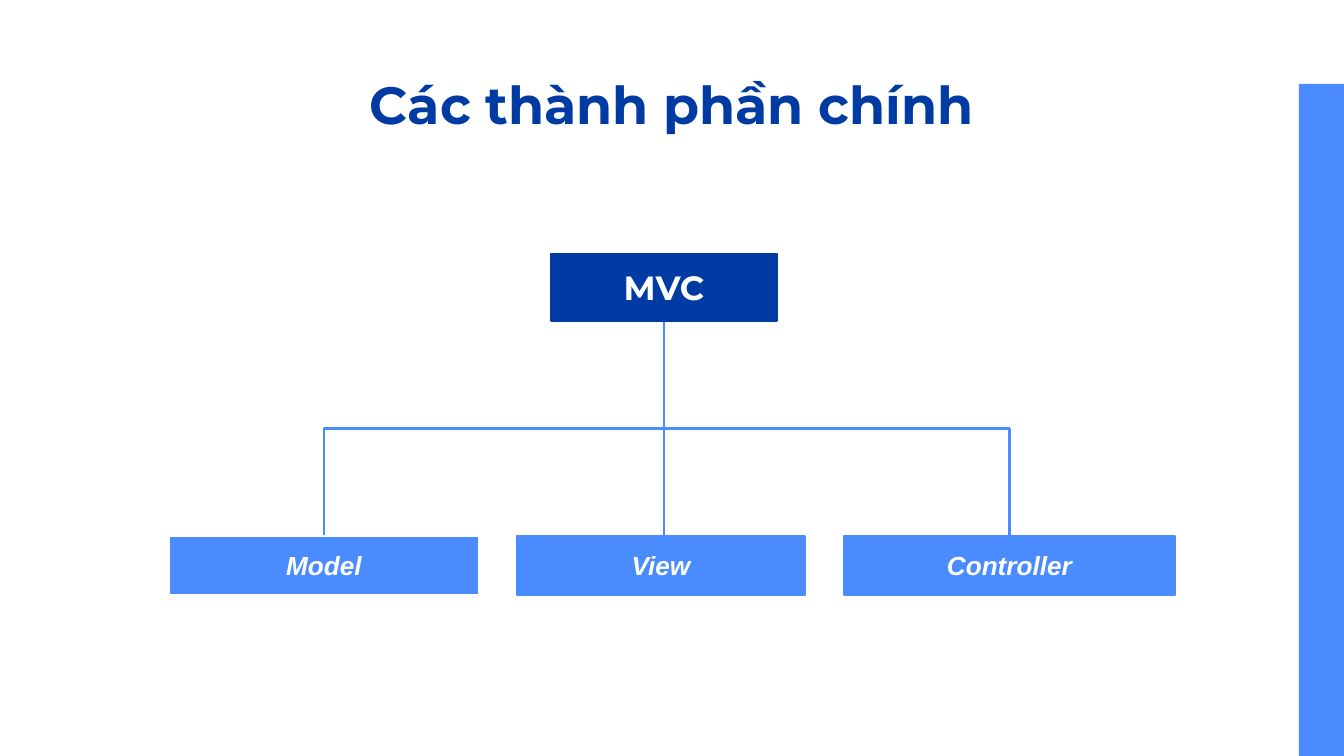
import pptx
import pptx.util
import pptx.dml.color
import pptx.enum.shapes
import pptx.enum.text
import pptx.oxml

NAVY, BLUE, WHITE = "003BA3", "4A8CFF", "FFFFFF"
SLIDE = (1344, 756)
SCALE = 914400 / 134.4

TITLE = "Các thành phần chính"
TITLE_AT = (105, 56, 1133, 96)
TITLE_FONT = {"name": "Montserrat", "size": 28, "bold": True, "color": NAVY}
ROOT_FONT = {"name": "Montserrat", "size": 18, "bold": True, "color": WHITE}
PART_FONT = {"name": "Arial", "size": 14, "bold": True, "italic": True, "color": WHITE}

BAR_AT = (1299, 84, 45, 672)
ROOT = ("MVC", (551, 254, 226, 67))
PART_TOP, PART_HEIGHT = 536, 59
# label, left, width, outline colour, outline width, top of its branch
PARTS = [
    ("Model", 169, 310, WHITE, 1.5, 321),
    ("Controller", 844, 331, BLUE, 1.5, 321),
    ("View", 517, 288, BLUE, 0.75, 387),
]


def px(value):
    return pptx.util.Emu(round(value * SCALE))


def rgb(value):
    return pptx.dml.color.RGBColor.from_string(value)


def write(box, text, look):
    frame = box.text_frame
    settings = {
        "word_wrap": True,
        "auto_size": pptx.enum.text.MSO_AUTO_SIZE.NONE,
        "vertical_anchor": pptx.enum.text.MSO_ANCHOR.MIDDLE,
    }
    for side in ("left", "top", "right", "bottom"):
        settings["margin_" + side] = pptx.util.Inches(0.1)
    for name, value in settings.items():
        setattr(frame, name, value)
    para = frame.paragraphs[0]
    para.alignment = pptx.enum.text.PP_ALIGN.CENTER
    span = para.add_run()
    span.text = text
    for name, value in look.items():
        if name == "color":
            span.font.color.rgb = rgb(value)
        else:
            setattr(span.font, name, pptx.util.Pt(value) if name == "size" else value)


def add_box(page, at, fill, outline=None, width=1.5):
    box = page.shapes.add_shape(pptx.enum.shapes.MSO_SHAPE.RECTANGLE, *map(px, at))
    box.shadow.inherit = False
    box.fill.solid()
    box.fill.fore_color.rgb = rgb(fill)
    if outline:
        box.line.color.rgb = rgb(outline)
        box.line.width = pptx.util.Pt(width)
    else:
        box.line.fill.background()
    return box


def add_branch(page, start, end):
    """Elbow that leaves downwards: laid out sideways, then turned by 90 degrees."""
    (x1, y1), (x2, y2) = start, end
    middle_x, middle_y = (x1 + x2) / 2, (y1 + y2) / 2
    half_length, half_span = (y2 - y1) / 2, (x2 - x1) / 2
    branch = page.shapes.add_connector(
        pptx.enum.shapes.MSO_CONNECTOR.ELBOW,
        px(middle_x - half_length), px(middle_y + half_span),
        px(middle_x + half_length), px(middle_y - half_span))
    branch.line.color.rgb = rgb(BLUE)
    branch.line.width = pptx.util.Pt(1.5)
    properties = branch._element.spPr
    properties.find(pptx.oxml.ns.qn("a:xfrm")).set("rot", str(90 * 60000))
    pptx.oxml.xmlchemy.OxmlElement  # element factory used below
    properties.append(pptx.oxml.xmlchemy.OxmlElement("a:effectLst"))


def main():
    deck = pptx.Presentation()
    deck.slide_width, deck.slide_height = map(px, SLIDE)
    page = deck.slides.add_slide(deck.slide_layouts[5])

    # Side bar and title
    add_box(page, BAR_AT, BLUE)
    title = page.shapes.title
    title.left, title.top, title.width, title.height = map(px, TITLE_AT)
    write(title, TITLE, TITLE_FONT)

    # Branches from the root to each part
    label, root_at = ROOT
    root_x = root_at[0] + root_at[2] / 2
    for name, left, width, outline, weight, branch_top in PARTS:
        # The middle branch drops straight down below the root
        end_x = root_x if left < root_x < left + width else left + width / 2
        add_branch(page, (root_x, branch_top), (end_x, PART_TOP))

    # Root and part boxes
    write(add_box(page, root_at, NAVY, NAVY), label, ROOT_FONT)
    for name, left, width, outline, weight, branch_top in PARTS:
        at = (left, PART_TOP, width, PART_HEIGHT)
        write(add_box(page, at, BLUE, outline, weight), name, PART_FONT)

    deck.save("out.pptx")


if __name__ == "__main__":
    main()
